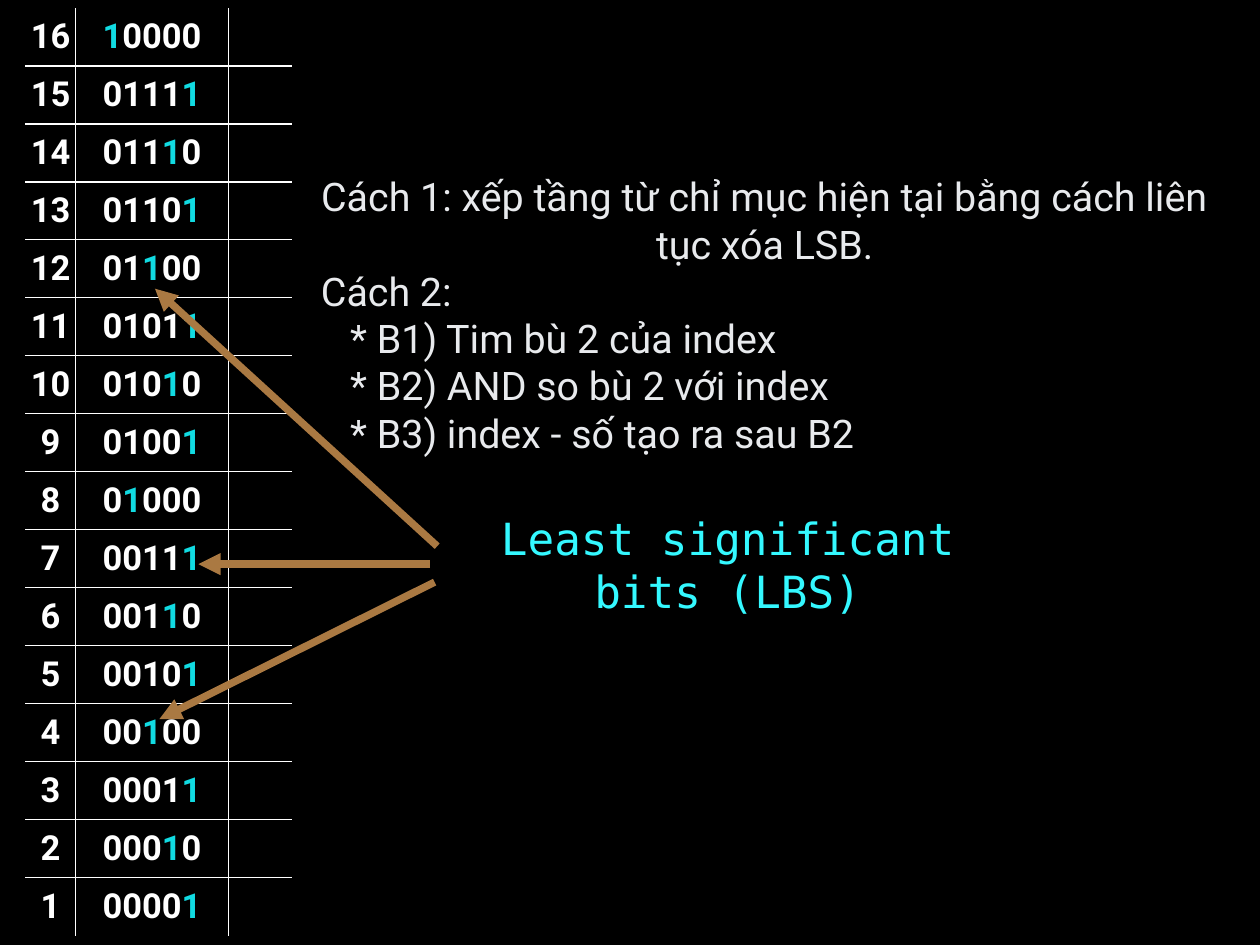
from lxml.etree import SubElement
from pptx import Presentation
from pptx.dml.color import RGBColor
from pptx.enum.shapes import MSO_CONNECTOR
from pptx.enum.text import MSO_ANCHOR, MSO_AUTO_SIZE, PP_ALIGN
from pptx.oxml.ns import qn
from pptx.util import Inches, Pt

COLORS = {"back": "000000", "text": "E8EAED", "digit": "FFFFFF",
          "bit": "11DBE2", "label": "34F8FF", "arrow": "AA7942"}
WIDTH, HEIGHT = Inches(14.22), Inches(10.67)
NO_STYLE = "{2D5ABB26-0587-4C30-8999-92F81FD0307C}"
INSETS = ("margin_left", "margin_right", "margin_top", "margin_bottom")

LABEL = "Least significant bits (LBS)"
METHODS = [  # text, indent in inches, alignment
    ("Cách 1: xếp tầng từ chỉ mục hiện tại bằng cách liên tục xóa LSB.", 0, PP_ALIGN.CENTER),
    ("Cách 2:", 0.22, PP_ALIGN.LEFT),
    ("* B1) Tim bù 2 của index", 0.55, PP_ALIGN.LEFT),
    ("* B2) AND so bù 2 với index", 0.55, PP_ALIGN.LEFT),
    ("* B3) index - số tạo ra sau B2", 0.55, PP_ALIGN.LEFT),
]
INDEXES = range(16, 0, -1)
BITS = 5

# Places in percent of the slide: left, top, width, height
LABEL_PLACE = (38.8, 54, 37.9, 11.4)
METHODS_PLACE = (23.5, 17.6, 74.4, 31.3)
TABLE_PLACE = (2, 0.85, 21.2, 98.2)
COLUMN_SHARES = (0.19, 0.57, 0.24)
ARROWS = [  # start, then tip at a set bit
    ((34.1, 59.7), (15.75, 59.7)),
    ((34.5, 61.6), (12.65, 76.1)),
    ((34.7, 57.8), (12.3, 30.55)),
]


def point(x, y):
    """Turn percentages of the slide into lengths."""
    return int(WIDTH * x / 100), int(HEIGHT * y / 100)


def place(left, top, width, height):
    return point(left, top) + point(width, height)


def add_span(para, text, color, size, font="Roboto", bold=False):
    span = para.add_run()
    span.text = text
    for name, value in {"name": font, "size": Pt(size), "bold": bold}.items():
        setattr(span.font, name, value)
    span.font.color.rgb = RGBColor.from_string(COLORS[color])


def prepare_box(box, spot):
    for name, value in zip(("left", "top", "width", "height"), place(*spot)):
        setattr(box, name, value)
    frame = box.text_frame
    settings = {"word_wrap": True, "auto_size": MSO_AUTO_SIZE.NONE,
                "vertical_anchor": MSO_ANCHOR.MIDDLE, **dict.fromkeys(INSETS, Inches(0.06))}
    for name, value in settings.items():
        setattr(frame, name, value)
    return frame


def add_methods(box):
    frame = prepare_box(box, METHODS_PLACE)
    for number, (text, indent, align) in enumerate(METHODS):
        para = frame.add_paragraph() if number else frame.paragraphs[0]
        para.alignment, para.space_before = align, Pt(0)
        props = para._p.get_or_add_pPr()
        props.set("marL", str(Inches(indent)))
        props.set("indent", "0")
        SubElement(props, qn("a:buNone"))
        add_span(para, text, "text", 32)


def add_border(cell, side):
    props = cell._tc.get_or_add_tcPr()
    line = SubElement(props, qn(f"a:{side}"), w=str(Pt(1)))
    fill = SubElement(line, qn("a:solidFill"))
    SubElement(fill, qn("a:srgbClr"), val=COLORS["digit"])


def fill_cell(cell, spans):
    cell.vertical_anchor = MSO_ANCHOR.MIDDLE
    for inset in INSETS:
        setattr(cell, inset, Inches(0.05))
    para = cell.text_frame.paragraphs[0]
    para.alignment = PP_ALIGN.CENTER
    for text, color in spans:
        if text:
            add_span(para, text, color, 28, bold=True)


def add_bit_table(page):
    rows, columns = len(INDEXES), len(COLUMN_SHARES)
    spot = place(*TABLE_PLACE)
    frame = page.shapes.add_table(rows, columns, *spot)
    table = frame.table
    table.first_row = table.horz_banding = False
    table._tbl.tblPr.find(qn("a:tableStyleId")).text = NO_STYLE
    for column, share in zip(table.columns, COLUMN_SHARES):
        column.width = int(spot[2] * share)
    for r, index in enumerate(INDEXES):
        table.rows[r].height = spot[3] // rows
        bits = f"{index:0{BITS}b}"
        lowest = bits.rindex("1")
        fill_cell(table.cell(r, 0), [(str(index), "digit")])
        fill_cell(table.cell(r, 1), [(bits[:lowest], "digit"), ("1", "bit"),
                                     (bits[lowest + 1:], "digit")])
        for c in range(columns):
            cell = table.cell(r, c)
            # Each grid line is set on both of the cells it separates
            for side, inner in (("lnL", c > 0), ("lnR", c < columns - 1),
                                ("lnT", r > 0), ("lnB", r < rows - 1)):
                if inner:
                    add_border(cell, side)
            cell.fill.background()


def add_arrow(page, start, tip):
    arrow = page.shapes.add_connector(MSO_CONNECTOR.STRAIGHT, *point(*start), *point(*tip))
    arrow.line.color.rgb = RGBColor.from_string(COLORS["arrow"])
    arrow.line.width = Pt(6)
    SubElement(arrow.line._get_or_add_ln(), qn("a:tailEnd"), type="triangle")
    SubElement(arrow._element.spPr, qn("a:effectLst"))


def main():
    deck = Presentation()
    deck.slide_width, deck.slide_height = WIDTH, HEIGHT
    page = deck.slides.add_slide(deck.slide_layouts[1])
    page.background.fill.solid()
    page.background.fill.fore_color.rgb = RGBColor.from_string(COLORS["back"])
    label = prepare_box(page.shapes.title, LABEL_PLACE).paragraphs[0]
    label.alignment = PP_ALIGN.CENTER
    add_span(label, LABEL, "label", 36, "DejaVu Sans Mono")
    add_methods(page.placeholders[1])
    add_bit_table(page)
    for start, tip in ARROWS:
        add_arrow(page, start, tip)
    deck.save("out.pptx")


if __name__ == "__main__":
    main()
